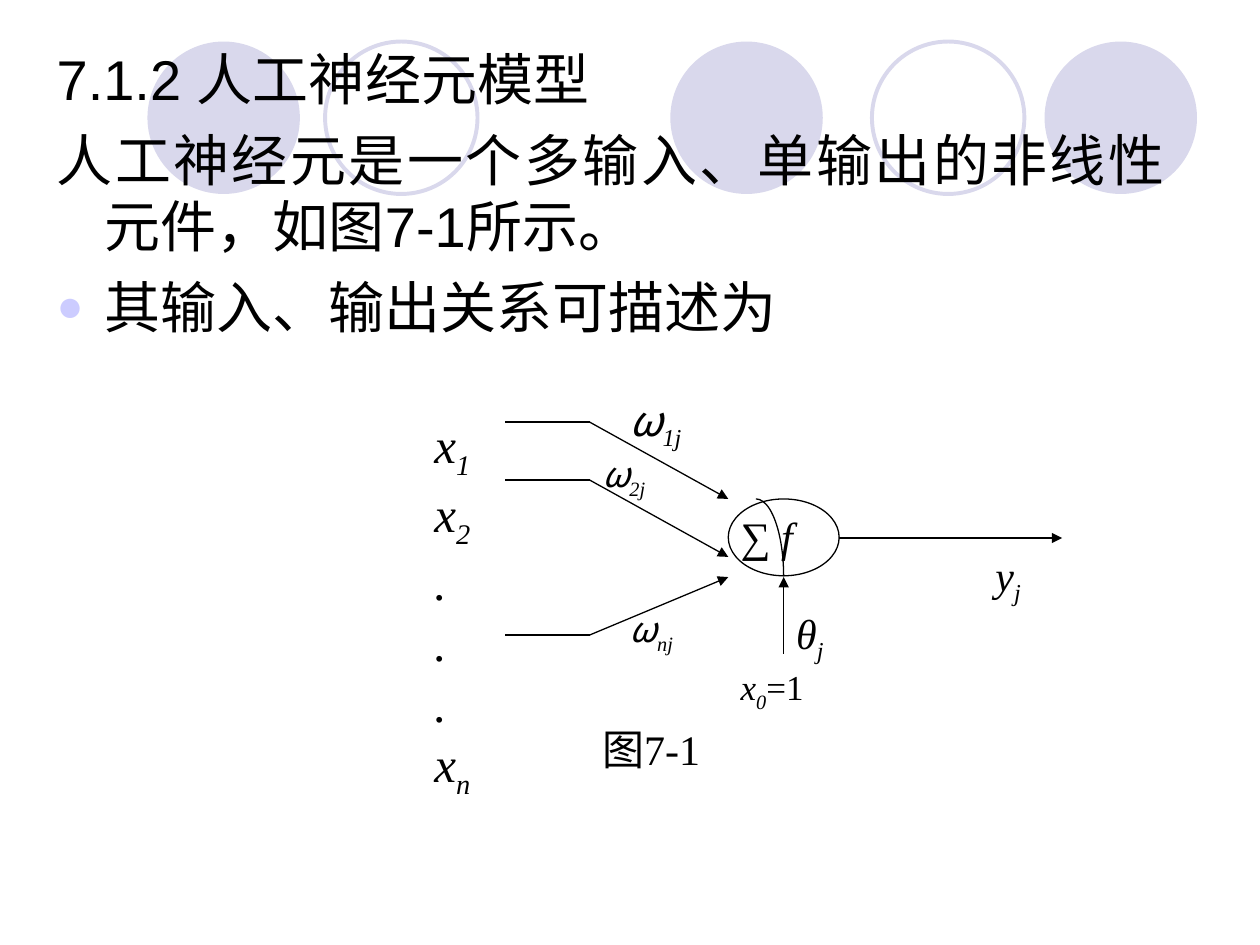
from lxml.etree import SubElement
from pptx import Presentation
from pptx.dml.color import RGBColor
from pptx.enum.shapes import MSO_CONNECTOR as Link, MSO_SHAPE as Preset
from pptx.enum.text import PP_ALIGN as Align
from pptx.oxml.ns import qn
from pptx.util import Inches, Pt

BLACK = RGBColor(0x00, 0x00, 0x00)
LAVENDER = RGBColor(0xD9, 0xD8, 0xEC)
BULLET = RGBColor(0xCC, 0xCC, 0xFF)
SERIF, SANS, CJK = "Times New Roman", "Arial", "Noto Sans CJK SC"


def apply(target, **values):
    """Set each named attribute on the target."""
    for key, value in values.items():
        setattr(target, key, value)


class NeuronSlide:
    """Holds the slide and its style, and draws each kind of element."""

    def __init__(self, slide):
        self.slide = slide
        self.shapes = slide.shapes

    def run(self, paragraph, text, size, font=SERIF, italic=False, sub=False):
        """Add one formatted run."""
        run = paragraph.add_run()
        run.text = text
        apply(run.font, size=Pt(size), name=font, italic=italic)
        run.font.color.rgb = BLACK
        properties = run._r.get_or_add_rPr()
        SubElement(properties, qn("a:ea"), typeface=CJK)
        if sub:
            properties.set("baseline", "-25000")

    def shape(self, preset, left, top, width, height, fill=None, line=None, weight=0.75):
        """Add a preset shape with an optional fill and outline."""
        shape = self.shapes.add_shape(
            preset, Inches(left), Inches(top), Inches(width), Inches(height))
        shape.shadow.inherit = False
        if fill is None:
            shape.fill.background()
        else:
            shape.fill.solid()
            shape.fill.fore_color.rgb = fill
        if line is None:
            shape.line.fill.background()
        else:
            shape.line.color.rgb = line
            shape.line.width = Pt(weight)

    def line(self, start, end, arrow=False):
        """Add a thin straight line, with an arrowhead at its end if asked."""
        link = self.shapes.add_connector(
            Link.STRAIGHT, *(Inches(value) for value in (*start, *end)))
        link.line.color.rgb = BLACK
        link.line.width = Pt(0.75)
        if arrow:
            SubElement(link.line._get_or_add_ln(), qn("a:tailEnd"), type="triangle")
        SubElement(link._element.spPr, qn("a:effectLst"))

    def label(self, box, size, *rows, font=SERIF, italic=True, inset=0.1):
        """Add a text box whose rows are (symbol, subscript, upright rest)."""
        frame = self.shapes.add_textbox(*(Inches(value) for value in box)).text_frame
        apply(frame, word_wrap=True, margin_left=Inches(inset), margin_top=Inches(0.09))
        for index, (symbol, subscript, rest) in enumerate(rows):
            paragraph = frame.paragraphs[0] if index == 0 else frame.add_paragraph()
            apply(paragraph, alignment=Align.JUSTIFY, space_after=Pt(1))
            if symbol:
                self.run(paragraph, symbol, size, font, italic)
            if subscript:
                self.run(paragraph, subscript, size, italic=True, sub=True)
            if rest:
                self.run(paragraph, rest, size)
        return frame

    def body(self, box, rows):
        """Fill the body placeholder with (text, has bullet) rows."""
        body = self.slide.placeholders[1]
        left, top, width, height = (Inches(value) for value in box)
        apply(body, left=left, top=top, width=width, height=height)
        self.shapes._spTree.append(body._element)
        frame = body.text_frame
        apply(frame, word_wrap=True, margin_top=Inches(0.08))
        for index, (text, bulleted) in enumerate(rows):
            paragraph = frame.paragraphs[0] if index == 0 else frame.add_paragraph()
            properties = paragraph._p.get_or_add_pPr()
            properties.set("marL", str(Inches(0.38)))
            properties.set("indent", str(Inches(-0.38)))
            if bulleted:
                color = SubElement(properties, qn("a:buClr"))
                SubElement(color, qn("a:srgbClr"), val=str(BULLET))
                SubElement(properties, qn("a:buSzPct"), val="80000")
                SubElement(properties, qn("a:buFont"), typeface=SANS)
                SubElement(properties, qn("a:buChar"), char="●")
            else:
                SubElement(properties, qn("a:buNone"))
            apply(paragraph, alignment=Align.JUSTIFY, line_spacing=Pt(38),
                  space_before=Pt(8 if index else 0))
            self.run(paragraph, text, 32, SANS)


def main():
    """Build the artificial neuron slide."""
    deck = Presentation()
    apply(deck, slide_width=Inches(10), slide_height=Inches(7.5))
    neuron = NeuronSlide(deck.slides.add_slide(deck.slide_layouts[1]))
    heading = neuron.shapes.title._element
    heading.getparent().remove(heading)

    for left in (1.17, 5.32, 8.29):
        neuron.shape(Preset.OVAL, left, 0.33, 1.21, 1.21, fill=LAVENDER)
    for left in (2.58, 6.92):
        neuron.shape(Preset.OVAL, left, 0.33, 1.21, 1.21, line=LAVENDER, weight=2.25)

    neuron.body((0.35, 0.28, 9, 4.96), (
        ("7.1.2 人工神经元模型", False),
        ("人工神经元是一个多输入、单输出的非线性元件，如图7-1所示。", False),
        ("其输入、输出关系可描述为", True),
    ))

    neuron.label((7.77, 4.27, 1.33, 0.46), 24, ("y", "j", ""), inset=0.13)
    neuron.label((6.22, 4.73, 0.88, 0.46), 24, ("θ", "j", ""))
    neuron.label((5.78, 5.19, 1.11, 0.46), 20, ("x", "0", "=1"))
    activation = neuron.label((5.78, 3.96, 0.88, 0.61), 24, ("∑ ", "", ""), italic=False)
    neuron.run(activation.paragraphs[0], "f", 24, italic=True)
    neuron.label((3.35, 3.2, 0.66, 2.15), 28, ("x", "1", ""), ("x", "2", ""),
                 *[(".", "", "")] * 3, ("x", "n", ""))
    for left, top, width, size, subscript in (
            (4.9, 3.04, 1.33, 24, "1j"),
            (4.68, 3.5, 1.1, 20, "2j"),
            (4.9, 4.73, 1.11, 20, "nj")):
        neuron.label((left, top, width, 0.61), size, ("ω", subscript, ""), font=CJK)

    neuron.shape(Preset.OVAL, 5.78, 3.96, 0.88, 0.61, line=BLACK)
    neuron.shape(Preset.ARC, 5.78, 3.96, 0.44, 1.23, line=BLACK)
    neuron.line((6.66, 4.27), (8.43, 4.27), arrow=True)
    neuron.line((6.22, 5.19), (6.22, 4.58), arrow=True)
    for input_y, target_y in ((3.35, 3.96), (3.81, 4.42), (5.04, 4.58)):
        neuron.line((4.01, input_y), (4.68, input_y))
        neuron.line((4.68, input_y), (5.78, target_y), arrow=True)

    neuron.label((4.68, 5.65, 3.31, 0.46), 24, ("图7-1", "", ""), italic=False)
    deck.save("out.pptx")


if __name__ == "__main__":
    main()
